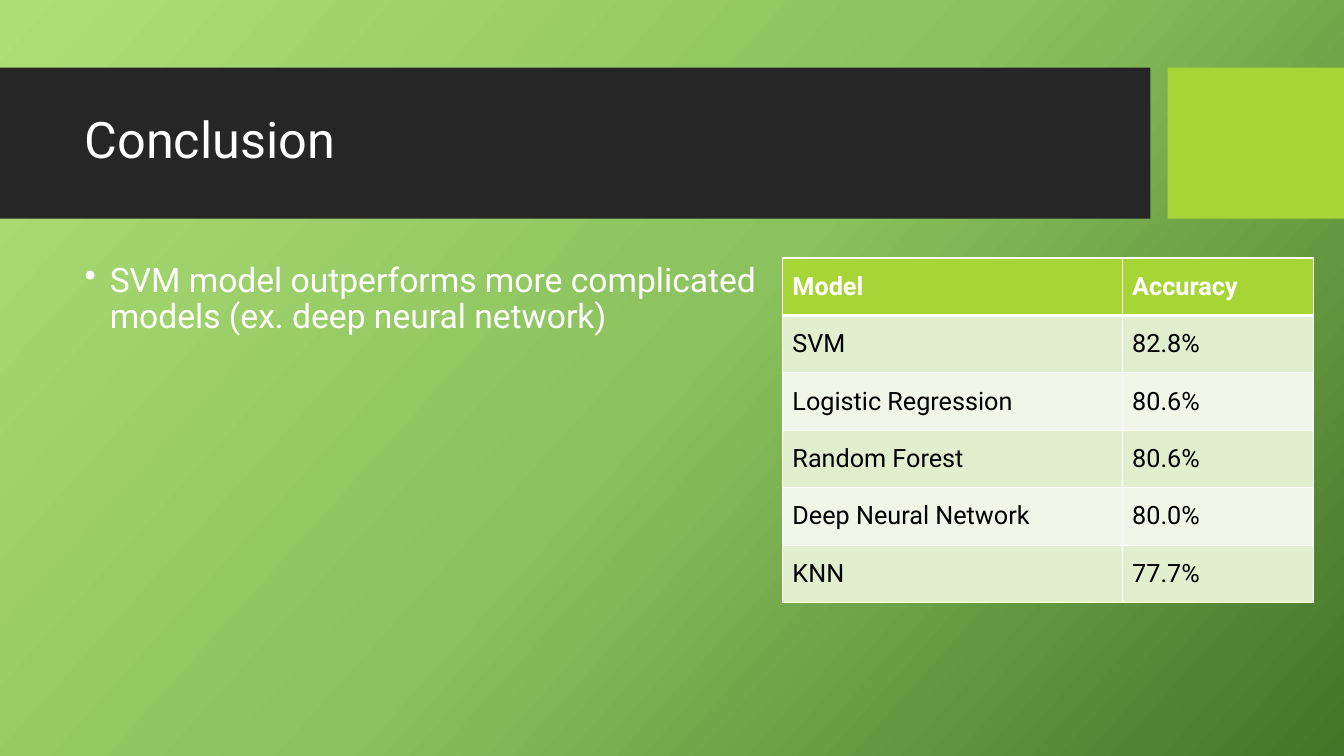
from copy import deepcopy

from lxml import etree
from pptx import Presentation
from pptx.dml.color import RGBColor
from pptx.enum import shapes, text
from pptx.oxml.ns import qn
from pptx.util import Inches, Pt

WHITE = RGBColor(0xFF, 0xFF, 0xFF)
BLACK = RGBColor(0, 0, 0)
CHARCOAL = RGBColor(0x26, 0x26, 0x26)
LIME = RGBColor(0xA7, 0xD5, 0x35)
BANDS = (RGBColor(0xE1, 0xEF, 0xCE), RGBColor(0xF1, 0xF7, 0xE8))
BACKDROP = (
    (0, RGBColor(0xAF, 0xDE, 0x77)),
    (0.5, RGBColor(0x8B, 0xC2, 0x5D)),
    (1, RGBColor(0x43, 0x75, 0x28)),
)
RESULTS = (
    ("Model", "Accuracy"),
    ("SVM", "82.8%"),
    ("Logistic Regression", "80.6%"),
    ("Random Forest", "80.6%"),
    ("Deep Neural Network", "80.0%"),
    ("KNN", "77.7%"),
)


def write(tf, words, size=18, color=WHITE, bold=False, spacing=None, before=None, bullet=None):
    tf.word_wrap = True
    p = tf.paragraphs[0]
    p.line_spacing = spacing
    if before:
        p.space_before = Pt(before)
    if bullet:
        pPr = p._p.get_or_add_pPr()
        pPr.set("marL", str(Inches(0.25)))
        pPr.set("indent", str(Inches(-0.25)))
        etree.SubElement(pPr, qn("a:buChar"), char=bullet)
    r = p.add_run()
    r.text = words
    r.font.name = "Roboto"
    r.font.size = Pt(size)
    r.font.bold = bold
    r.font.color.rgb = color


def border(cell, side, width):
    ln = etree.SubElement(cell._tc.get_or_add_tcPr(), qn(f"a:ln{side}"), w=str(Pt(width)))
    fill = etree.SubElement(ln, qn("a:solidFill"))
    etree.SubElement(fill, qn("a:srgbClr"), val=str(WHITE))


class GreenSlide:
    def __init__(self, prs):
        self.s = prs.slides.add_slide(prs.slide_layouts[6])

    def backdrop(self, stops, angle):
        """Fill the background with a three-stop gradient, angle clockwise."""
        fill = self.s.background.fill
        fill.gradient()
        fill.gradient_angle = 360 - angle
        stop_list = self.s._element.find(".//" + qn("a:gsLst"))
        stop_list.append(deepcopy(stop_list[-1]))
        for stop, (position, color) in zip(fill.gradient_stops, stops):
            stop.position = position
            stop.color.rgb = color

    def block(self, left, top, width, height, color):
        sp = self.s.shapes.add_shape(
            shapes.MSO_SHAPE.RECTANGLE, Inches(left), Inches(top), Inches(width), Inches(height))
        sp.shadow.inherit = False
        sp.fill.solid()
        sp.fill.fore_color.rgb = color
        sp.line.fill.background()

    def label(self, left, top, width, height, words, anchor=text.MSO_ANCHOR.TOP, **style):
        tf = self.s.shapes.add_textbox(
            Inches(left), Inches(top), Inches(width), Inches(height)).text_frame
        tf.vertical_anchor = anchor
        write(tf, words, **style)

    def table(self, left, top, widths, row_height, rows):
        tbl = self.s.shapes.add_table(
            len(rows), len(widths), Inches(left), Inches(top),
            Inches(sum(widths)), Inches(row_height * len(rows))).table
        for column, width in zip(tbl.columns, widths):
            column.width = Inches(width)
        for i, row in enumerate(rows):
            header = i == 0
            for j, words in enumerate(row):
                cell = tbl.cell(i, j)
                cell.vertical_anchor = text.MSO_ANCHOR.MIDDLE
                for side in "LR":
                    border(cell, side, 1)
                border(cell, "T", 3 if i == 1 else 1)
                border(cell, "B", 3 if header else 1)
                cell.fill.solid()
                cell.fill.fore_color.rgb = LIME if header else BANDS[(i - 1) % 2]
                write(cell.text_frame, words, color=WHITE if header else BLACK, bold=header)


def main():
    prs = Presentation()
    prs.slide_width, prs.slide_height = Inches(13.33), Inches(7.5)
    s = GreenSlide(prs)
    s.backdrop(BACKDROP, angle=42)
    s.block(0, 0.67, 11.41, 1.5, CHARCOAL)
    s.block(11.58, 0.67, 1.75, 1.5, LIME)
    s.label(0.74, 0.82, 10.51, 1.18, "Conclusion",
            anchor=text.MSO_ANCHOR.MIDDLE, size=36, spacing=0.9)
    s.label(0.74, 2.56, 7.02, 1.94,
            "SVM model outperforms more complicated models (ex. deep neural network)",
            size=24, spacing=0.9, before=10, bullet="•")
    s.table(7.76, 2.56, (3.37, 1.9), 0.57, RESULTS)
    prs.save("out.pptx")


if __name__ == "__main__":
    main()
